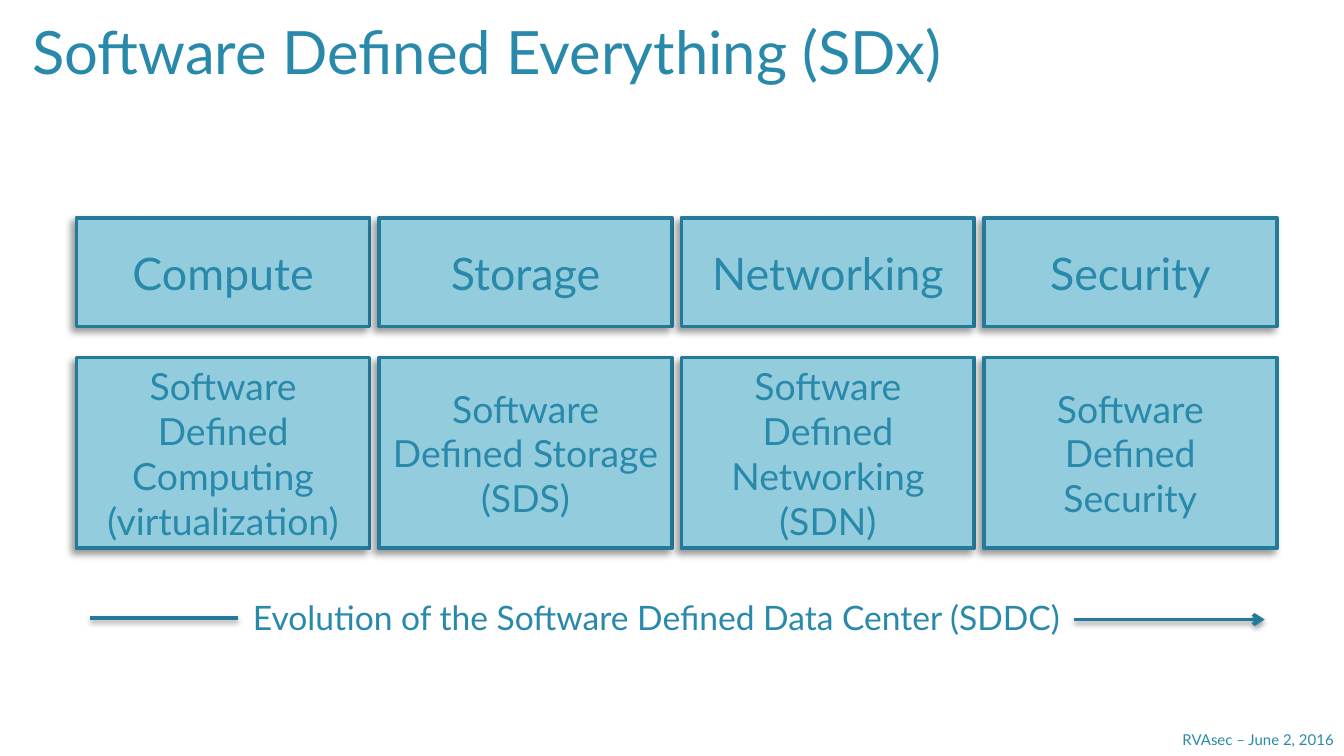
from dataclasses import dataclass

from lxml import etree
from pptx import Presentation
from pptx import util as u
from pptx.dml.color import RGBColor
from pptx.enum import shapes, text
from pptx.oxml import ns


@dataclass(frozen=True)
class Theme:
    font: str = "Lato"
    ink: str = "2889AB"
    panel: str = "93CDDD"
    edge: str = "247A99"
    edge_width: float = 2
    title: int = 32
    heading: int = 24
    detail: int = 20
    caption: int = 18
    footer: int = 8


@dataclass(frozen=True)
class Box:
    left: float
    top: float
    width: float
    height: float

    def inches(self):
        return [u.Inches(n) for n in (self.left, self.top, self.width, self.height)]


THEME = Theme()
PAGE_WIDTH = 10
PAGE_HEIGHT = PAGE_WIDTH * 9 / 16
PILLARS = [
    ("Compute", "Software Defined Computing (virtualization)"),
    ("Storage", "Software Defined Storage (SDS)"),
    ("Networking", "Software Defined Networking (SDN)"),
    ("Security", "Software Defined Security"),
]
COLUMN_GAP = 0.07
HEADING_HEIGHT = 0.81
DETAIL_HEIGHT = 1.42


def set_text(shape, words, size, centred=False, insets=(0.1, 0.05), wrap=True):
    frame = shape.text_frame
    frame.word_wrap = wrap
    frame.margin_left = frame.margin_right = u.Inches(insets[0])
    frame.margin_top = frame.margin_bottom = u.Inches(insets[1])
    para = frame.paragraphs[0]
    para.text = words
    para.alignment = text.PP_ALIGN.CENTER if centred else text.PP_ALIGN.LEFT
    para.font.name = THEME.font
    para.font.size = u.Pt(size)
    para.font.color.rgb = RGBColor.from_string(THEME.ink)


def add_label(page, box, words, size, **options):
    set_text(page.shapes.add_textbox(*box.inches()), words, size, **options)


def style_edge(shape):
    shape.line.color.rgb = RGBColor.from_string(THEME.edge)
    shape.line.width = u.Pt(THEME.edge_width)


def add_shadow(shape, opacity, blur, distance, angle):
    """Append a black outer shadow; call it after fill and line are set."""
    effects = etree.SubElement(shape._element.spPr, ns.qn("a:effectLst"))
    shadow = etree.SubElement(
        effects, ns.qn("a:outerShdw"), blurRad=str(u.Pt(blur)),
        dist=str(u.Pt(distance)), dir=str(angle * 60000), rotWithShape="0")
    colour = etree.SubElement(shadow, ns.qn("a:srgbClr"), val="000000")
    etree.SubElement(colour, ns.qn("a:alpha"), val=str(opacity * 1000))


def add_panel(page, box, words, size):
    panel = page.shapes.add_shape(shapes.MSO_SHAPE.RECTANGLE, *box.inches())
    panel.fill.solid()
    panel.fill.fore_color.rgb = RGBColor.from_string(THEME.panel)
    style_edge(panel)
    add_shadow(panel, 40, 4, 3, 135)
    panel.text_frame.vertical_anchor = text.MSO_ANCHOR.MIDDLE
    set_text(panel, words, size, centred=True, insets=(0.08, 0.04))


def add_pillars(page, box):
    """Fill the box with equal columns: a heading panel above a detail panel."""
    width = (box.width - COLUMN_GAP * (len(PILLARS) - 1)) / len(PILLARS)
    detail_top = box.top + box.height - DETAIL_HEIGHT
    for column, (heading, detail) in enumerate(PILLARS):
        left = box.left + column * (width + COLUMN_GAP)
        add_panel(page, Box(left, box.top, width, HEADING_HEIGHT),
                  heading, THEME.heading)
        add_panel(page, Box(left, detail_top, width, DETAIL_HEIGHT),
                  detail, THEME.detail)


def add_rule(page, start, end, height, arrow=False):
    rule = page.shapes.add_connector(
        shapes.MSO_CONNECTOR.STRAIGHT, u.Inches(start), u.Inches(height),
        u.Inches(end), u.Inches(height))
    style_edge(rule)
    if arrow:
        etree.SubElement(rule.line._get_or_add_ln(), ns.qn("a:tailEnd"), type="arrow")
    add_shadow(rule, 38, 3.1, 1.6, 90)


def add_evolution(page, box):
    """Place the caption between a plain rule and an arrow that span the box."""
    middle = box.top + box.height / 2
    right = box.left + box.width
    add_label(page, Box(box.left + 0.87, box.top, 6.69, box.height),
              "Evolution of the Software Defined Data Center (SDDC)",
              THEME.caption, centred=True)
    add_rule(page, box.left, box.left + 1.1, middle + 0.01)
    add_rule(page, right - 1.42, right, middle + 0.02, arrow=True)


def main():
    deck = Presentation()
    deck.slide_width, deck.slide_height = u.Inches(PAGE_WIDTH), u.Inches(PAGE_HEIGHT)
    page = deck.slides.add_slide(deck.slide_layouts[6])
    add_label(page, Box(8.7, 5.39, 1.34, 0.24), "RVAsec – June 2, 2016",
              THEME.footer, wrap=False)
    add_pillars(page, Box(0.57, 1.62, 8.93, 2.46))
    add_label(page, Box(0.16, 0.07, 9.25, 0.61), "Software Defined Everything (SDx)",
              THEME.title, insets=(0.08, 0.04))
    add_evolution(page, Box(0.67, 4.39, 8.74, 0.4))
    deck.save("out.pptx")


if __name__ == "__main__":
    main()
